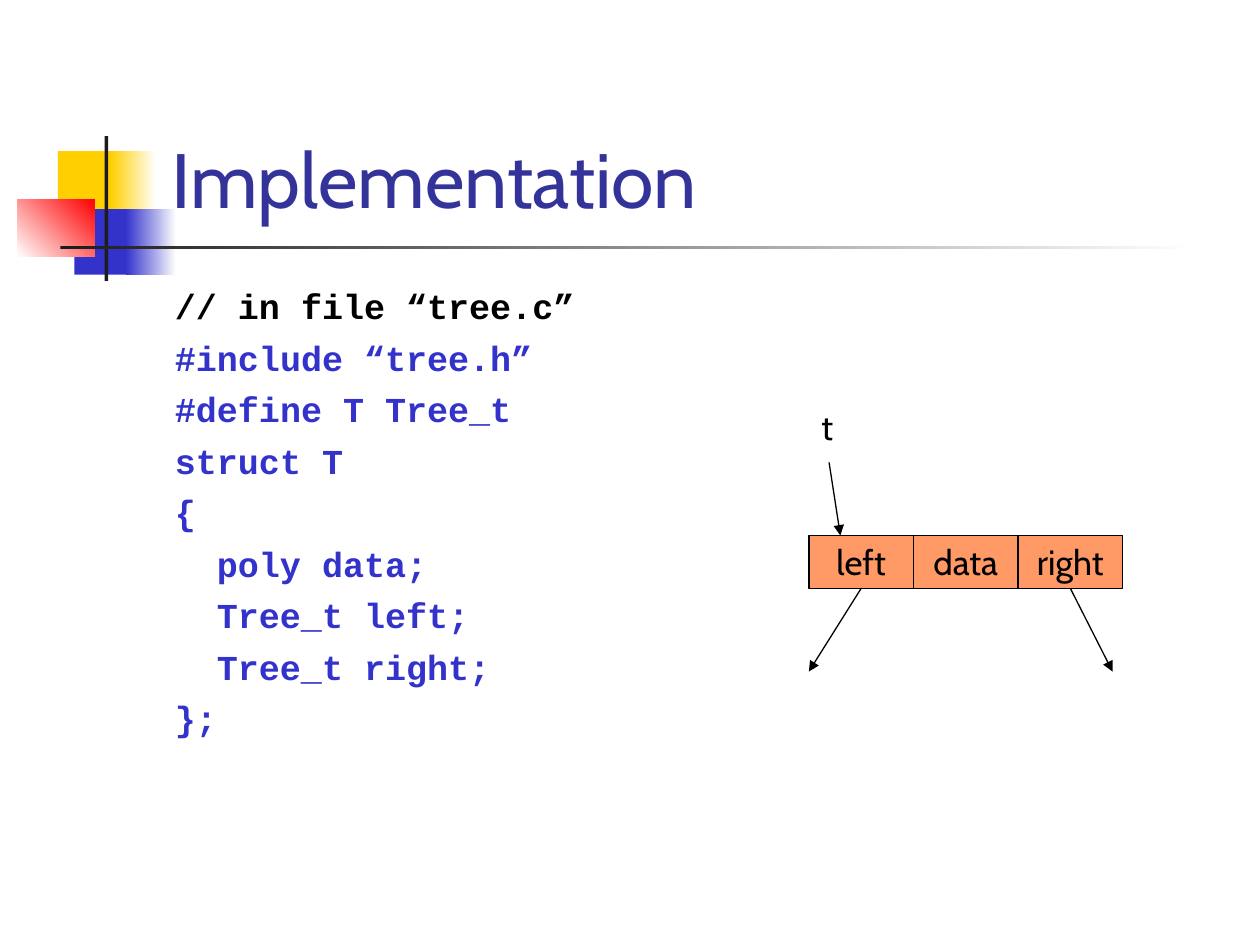
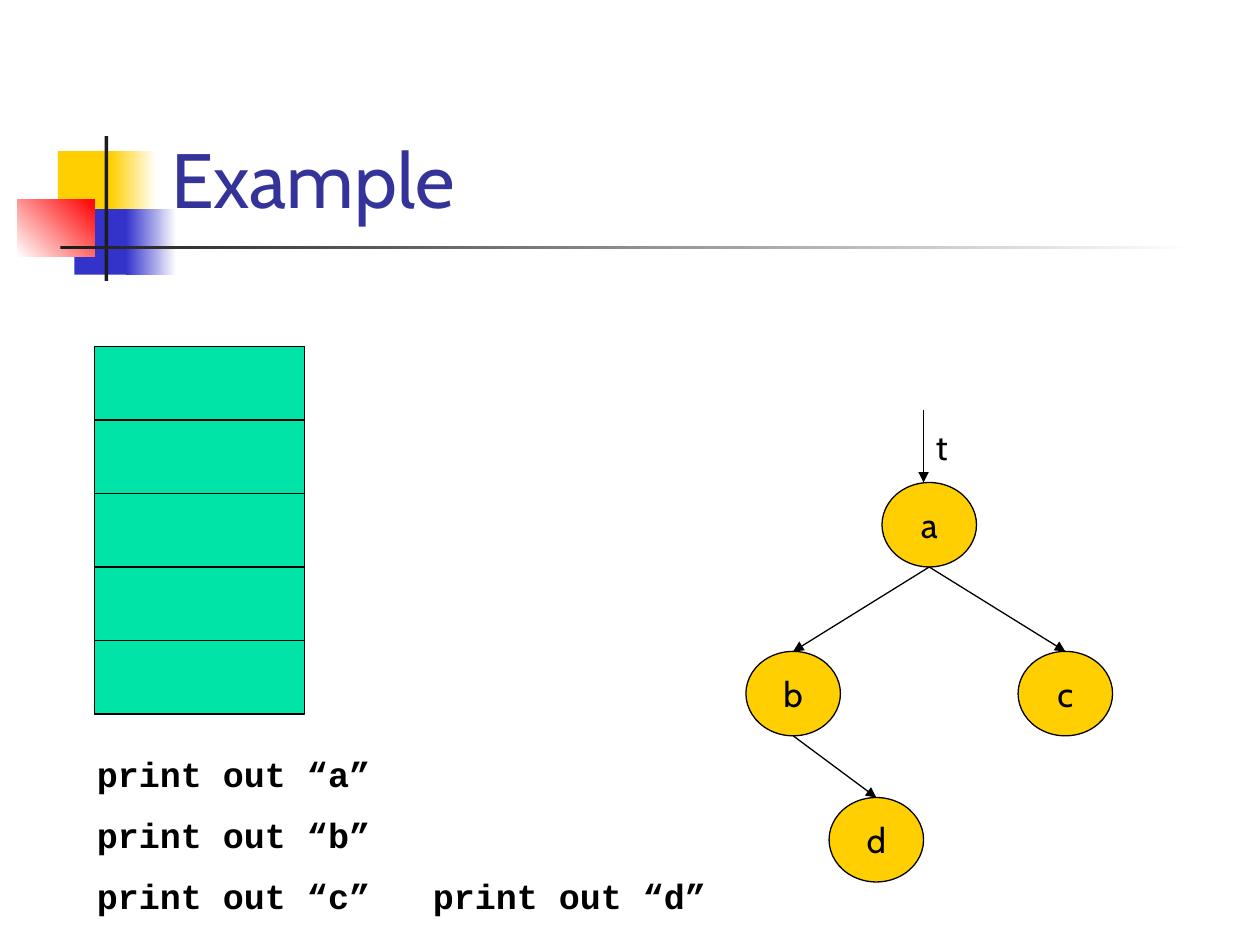
from dataclasses import dataclass

from lxml import etree
from pptx import Presentation
from pptx.dml.color import RGBColor
from pptx.enum.shapes import MSO_CONNECTOR, MSO_SHAPE
from pptx.enum.text import MSO_ANCHOR, PP_ALIGN
from pptx.oxml.ns import qn
from pptx.shapes.autoshape import Shape
from pptx.slide import Slide
from pptx.util import Inches, Pt

RECT, OVAL = MSO_SHAPE.RECTANGLE, MSO_SHAPE.OVAL
STRAIGHT = MSO_CONNECTOR.STRAIGHT
TOP, MIDDLE, BOTTOM = MSO_ANCHOR.TOP, MSO_ANCHOR.MIDDLE, MSO_ANCHOR.BOTTOM
CENTER = PP_ALIGN.CENTER

BLACK = RGBColor(0x00, 0x00, 0x00)
WHITE = RGBColor(0xFF, 0xFF, 0xFF)
CHARCOAL = RGBColor(0x1C, 0x1C, 0x1C)
GOLD = RGBColor(0xFF, 0xCF, 0x01)
BLUE = RGBColor(0x33, 0x33, 0xCC)
RED = RGBColor(0xFF, 0x00, 0x00)
TITLE_BLUE = RGBColor(0x33, 0x33, 0x99)
ORANGE = RGBColor(0xFF, 0x99, 0x66)
GREEN = RGBColor(0x00, 0xE4, 0xA8)

SANS, MONO = "Cabin", "Courier New"
TEXT_SIZE = 20
CODE_CHAR = Pt(12)  # advance of one monospaced character at TEXT_SIZE

Point = tuple[float, float]


@dataclass(frozen=True)
class Box:
    left: float
    top: float
    width: float
    height: float

    @property
    def lengths(self) -> tuple[Inches, ...]:
        return tuple(Inches(v) for v in (self.left, self.top, self.width, self.height))

    @property
    def top_center(self) -> Point:
        return self.left + self.width / 2, self.top

    @property
    def bottom_center(self) -> Point:
        return self.left + self.width / 2, self.top + self.height


@dataclass(frozen=True)
class Decoration:
    """A band of the title motif; with end set, it fades from start to end."""
    box: Box
    start: RGBColor
    end: RGBColor | None = None
    angle: int = 0


@dataclass(frozen=True)
class TextStyle:
    font: str = SANS
    size: int = TEXT_SIZE
    color: RGBColor = BLACK
    bold: bool = False


LABEL = TextStyle()
TITLE = TextStyle(size=44, color=TITLE_BLUE)
COMMENT = TextStyle(MONO, bold=True)
CODE = TextStyle(MONO, color=BLUE, bold=True)

DECORATIONS = [
    Decoration(Box(0.46, 1.2, 0.48, 0.52), GOLD),
    Decoration(Box(0.88, 1.2, 0.36, 0.52), GOLD, WHITE),
    Decoration(Box(0.59, 1.66, 0.46, 0.52), BLUE),
    Decoration(Box(1, 1.66, 0.4, 0.52), BLUE, WHITE),
    Decoration(Box(0.14, 1.58, 0.61, 0.46), WHITE, RED, 45),
    Decoration(Box(0.83, 1.08, 0.03, 1.15), CHARCOAL),
    Decoration(Box(0.48, 1.95, 9, 0.03), CHARCOAL, WHITE),
]
TITLE_BOX = Box(1.26, 0.23, 8.52, 1.6)

CODE_LINES = [
    "// in file “tree.c”",
    "#include “tree.h”",
    "#define T Tree_t",
    "struct T",
    "{",
    "poly data;",
    "Tree_t left;",
    "Tree_t right;",
    "};",
]
STRUCT_FIELDS = CODE_LINES[5:8]

STACK_SLOTS = 5
SLOT_HEIGHT = 7 / 12
TREE_NODES = {
    name: Box(left, top, 0.75, 0.67)
    for name, left, top in [("a", 7, 3.83), ("b", 5.92, 5.17),
                            ("c", 8.08, 5.17), ("d", 6.58, 6.33)]
}
TREE_EDGES = ["ab", "ac", "bd"]
OUTPUT_LINES = ["print out “a”", "print out “b”", "print out “c”\tprint out “d”"]


def style_runs(shape: Shape, style: TextStyle) -> None:
    for p in shape.text_frame.paragraphs:
        for r in p.runs:
            r.font.name = style.font
            r.font.size = Pt(style.size)
            r.font.bold = style.bold
            r.font.color.rgb = style.color


def add_text(s: Slide, box: Box, text: str, style: TextStyle = LABEL,
             anchor: MSO_ANCHOR = TOP, gap: float = 0) -> Shape:
    """Add a text box with gap points before every paragraph but the first."""
    shape = s.shapes.add_textbox(*box.lengths)
    tf = shape.text_frame
    tf.word_wrap = True
    tf.vertical_anchor = anchor
    tf.text = text
    for p in tf.paragraphs[1:]:
        p.space_before = Pt(gap)
    style_runs(shape, style)
    return shape


def add_cell(s: Slide, box: Box, fill: RGBColor, text: str = "",
             kind: MSO_SHAPE = RECT) -> None:
    shape = s.shapes.add_shape(kind, *box.lengths)
    shape.shadow.inherit = False
    shape.fill.solid()
    shape.fill.fore_color.rgb = fill
    shape.line.color.rgb = BLACK
    shape.line.width = Pt(0.75)
    if text:
        tf = shape.text_frame
        tf.word_wrap = False
        tf.vertical_anchor = MIDDLE
        tf.text = text
        tf.paragraphs[0].alignment = CENTER
        style_runs(shape, LABEL)


def add_arrow(s: Slide, start: Point, end: Point) -> None:
    line = s.shapes.add_connector(STRAIGHT, *(Inches(v) for v in start + end))
    line.line.color.rgb = BLACK
    line.line.width = Pt(0.75)
    etree.SubElement(line.line._get_or_add_ln(), qn("a:tailEnd"), type="triangle")
    etree.SubElement(line._element.spPr, qn("a:effectLst"))


def add_decoration(s: Slide, item: Decoration) -> None:
    shape = s.shapes.add_shape(RECT, *item.box.lengths)
    shape.shadow.inherit = False
    shape.line.fill.background()
    if item.end is None:
        shape.fill.solid()
        shape.fill.fore_color.rgb = item.start
    else:
        shape.fill.gradient()
        shape.fill.gradient_angle = item.angle
        for stop, color in zip(shape.fill.gradient_stops, (item.start, item.end)):
            stop.color.rgb = color


def add_titled_slide(prs: Presentation, title: str) -> Slide:
    s = prs.slides.add_slide(prs.slide_layouts[6])
    for item in DECORATIONS:
        add_decoration(s, item)
    add_text(s, TITLE_BOX, title, TITLE, BOTTOM)
    return s


def build_implementation(prs: Presentation) -> None:
    s = add_titled_slide(prs, "Implementation")
    code = add_text(s, Box(1.29, 2.21, 8.5, 4.5), "\n".join(CODE_LINES), CODE, gap=5.4)
    paragraphs = code.text_frame.paragraphs
    paragraphs[0].runs[0].font.color.rgb = COMMENT.color
    for p in paragraphs:
        if p.text in STRUCT_FIELDS:
            p._p.get_or_add_pPr().set("marL", str(2 * CODE_CHAR))

    add_text(s, Box(6.42, 3.17, 0.75, 0.43), "t")
    add_arrow(s, (6.58, 3.67), (6.67, 4.25))
    cells = [Box(6.42 + i * 0.83, 4.25, 0.83, 0.42) for i in range(3)]
    for cell, name in zip(cells, ("left", "data", "right")):
        add_cell(s, cell, ORANGE, name)
    add_arrow(s, cells[0].bottom_center, (6.42, 5.33))
    add_arrow(s, cells[2].bottom_center, (8.83, 5.33))


def build_example(prs: Presentation) -> None:
    s = add_titled_slide(prs, "Example")
    for i in range(STACK_SLOTS):
        add_cell(s, Box(0.75, 2.75 + i * SLOT_HEIGHT, 1.67, SLOT_HEIGHT), GREEN)

    output = add_text(s, Box(0.67, 5.92, 5.5, 1.43), "\n".join(OUTPUT_LINES), COMMENT, gap=11)
    pPr = output.text_frame.paragraphs[-1]._p.get_or_add_pPr()
    tabs = etree.SubElement(pPr, qn("a:tabLst"))
    etree.SubElement(tabs, qn("a:tab"), pos=str(16 * CODE_CHAR), algn="l")

    for name, box in TREE_NODES.items():
        add_cell(s, box, GOLD, name, OVAL)
    for parent, child in TREE_EDGES:
        add_arrow(s, TREE_NODES[parent].bottom_center, TREE_NODES[child].top_center)
    add_arrow(s, (7.33, 3.25), (7.33, 3.83))
    add_text(s, Box(7.33, 3.33, 0.5, 0.43), "t")


def main() -> None:
    prs = Presentation()
    prs.slide_width, prs.slide_height = Inches(10), Inches(7.5)
    build_implementation(prs)
    build_example(prs)
    prs.save("out.pptx")


if __name__ == "__main__":
    main()
